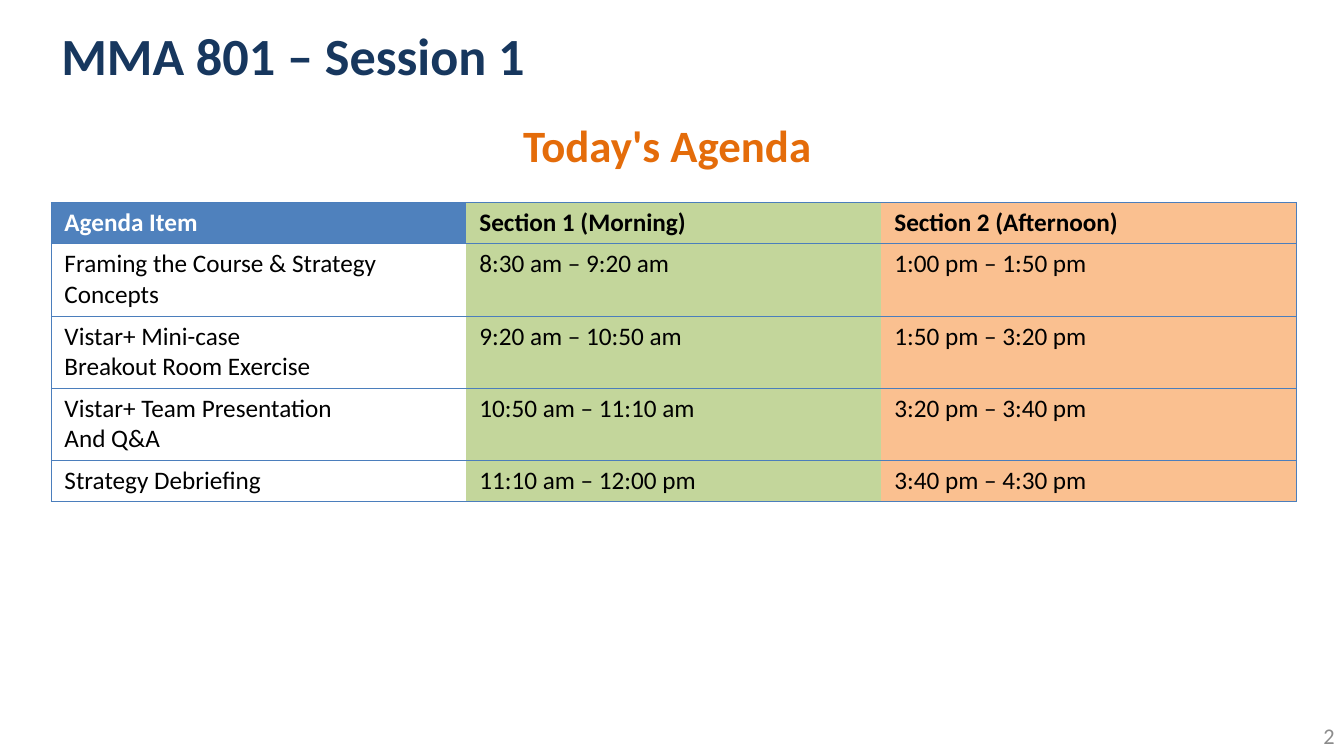
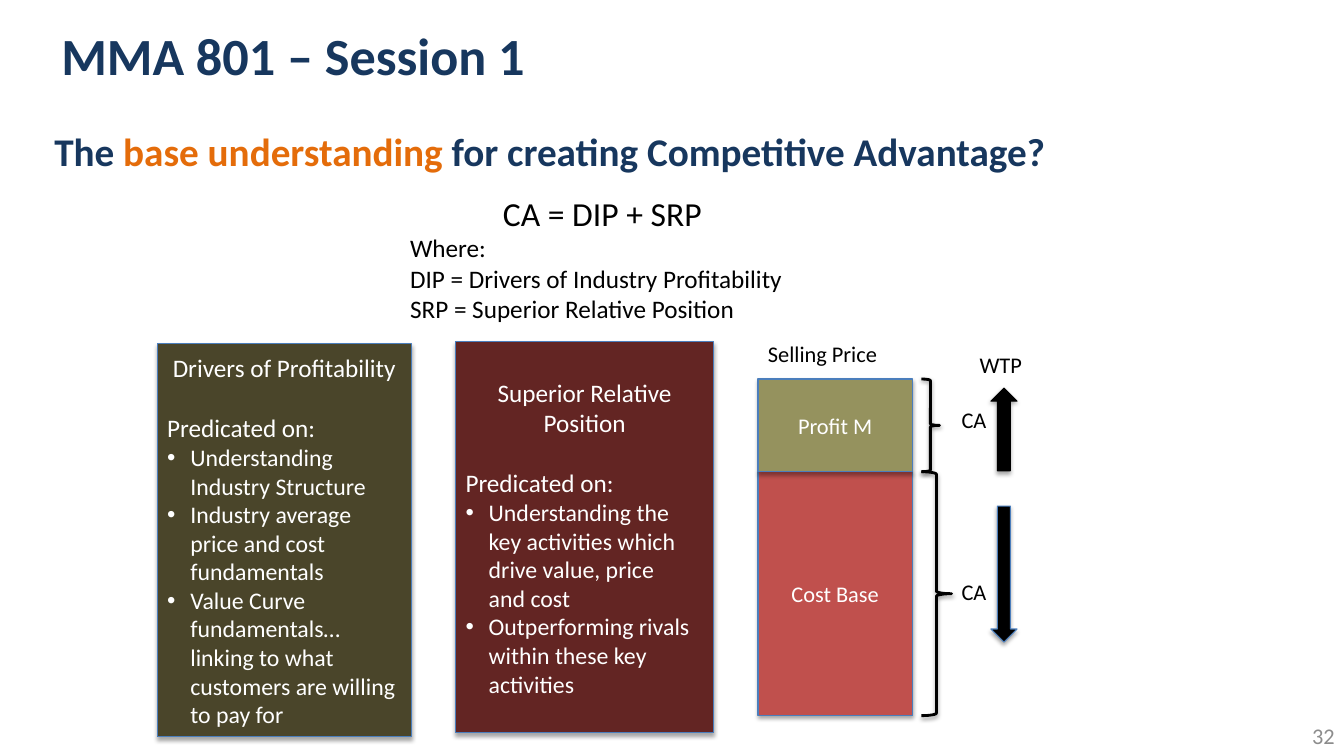
from dataclasses import dataclass
from typing import Optional

from lxml.etree import SubElement
from pptx import Presentation
from pptx.dml.color import RGBColor
from pptx.enum.shapes import MSO_SHAPE
from pptx.enum.text import MSO_ANCHOR, PP_ALIGN
from pptx.oxml.ns import qn
from pptx.util import Inches, Pt

# The grid has square cells of a tenth of an inch.
COLUMNS, ROWS = 133.33, 75
FONT = "Calibri"
NAVY, ORANGE, GREY = "17375E", "E46C0A", "8C8C8C"
BLACK, WHITE, BLUE, EDGE = "000000", "FFFFFF", "4F81BD", "4B7EBC"
GREEN, PEACH = "C3D69B", "FAC090"
OLIVE, MAROON, RED, KHAKI = "4A452A", "632523", "C0504D", "95925E"
LEFT, CENTER, RIGHT = PP_ALIGN.LEFT, PP_ALIGN.CENTER, PP_ALIGN.RIGHT

AGENDA = [
    ("Agenda Item", "Section 1 (Morning)", "Section 2 (Afternoon)"),
    ("Framing the Course & Strategy Concepts",
     "8:30 am – 9:20 am", "1:00 pm – 1:50 pm"),
    ("Vistar+ Mini-case\nBreakout Room Exercise",
     "9:20 am – 10:50 am", "1:50 pm – 3:20 pm"),
    ("Vistar+ Team Presentation\nAnd Q&A",
     "10:50 am – 11:10 am", "3:20 pm – 3:40 pm"),
    ("Strategy Debriefing", "11:10 am – 12:00 pm", "3:40 pm – 4:30 pm"),
]
AGENDA_ROWS = (4.1, 7.15, 7.15, 7.15, 4.1)


@dataclass
class Line:
    """One paragraph: its text, or (text, colour) spans, and its style."""
    text: object
    size: float = 18
    color: str = BLACK
    bold: bool = False
    align: PP_ALIGN = LEFT
    bullet: bool = False
    gap: Optional[float] = None


def rgb(code):
    """Turn a hex string into a colour."""
    return RGBColor.from_string(code)


def cells(*counts):
    """Turn counts of grid cells into lengths."""
    return [Inches(count / 10) for count in counts]


def style_span(span, line, color):
    """Apply the font of a line to one run."""
    span.font.name, span.font.size, span.font.bold = FONT, Pt(line.size), line.bold
    span.font.color.rgb = rgb(color)


def add_bullet(para):
    """Give a paragraph a hanging bullet."""
    properties = para._p.get_or_add_pPr()
    indent = Inches(0.23)
    properties.set("marL", str(indent))
    properties.set("indent", str(-indent))
    SubElement(properties, qn("a:buFont")).set("typeface", "Arial")
    SubElement(properties, qn("a:buChar")).set("char", "•")


def write(frame, lines, anchor):
    """Fill a text frame with lines."""
    frame.word_wrap, frame.vertical_anchor = True, anchor
    for index, line in enumerate(lines):
        para = frame.add_paragraph() if index else frame.paragraphs[0]
        para.alignment = line.align
        if line.gap:
            para.space_after = Pt(line.gap)
        if line.bullet:
            add_bullet(para)
        if isinstance(line.text, str):
            para.text = line.text
            for span in para.runs:
                style_span(span, line, line.color)
        else:
            for text, color in line.text:
                span = para.add_run()
                span.text = text
                style_span(span, line, color)


def add_text(page, area, *lines, anchor=MSO_ANCHOR.TOP):
    """Add a text box."""
    box = page.shapes.add_textbox(*cells(*area))
    write(box.text_frame, lines, anchor)


def add_shadow(shape, opacity, distance):
    """Cast a soft shadow straight down."""
    shape.shadow.inherit = False
    effects = shape._element.spPr.find(qn("a:effectLst"))
    shadow = SubElement(effects, qn("a:outerShdw"), blurRad=str(Pt(3.1)),
                        dist=str(Pt(distance)), dir="5400000", rotWithShape="0")
    color = SubElement(shadow, qn("a:srgbClr"), val=BLACK)
    SubElement(color, qn("a:alpha"), val=str(opacity * 1000))


def add_block(page, area, fill, *lines, kind=MSO_SHAPE.RECTANGLE, edge=EDGE):
    """Add a filled shape with a shadow and optional text."""
    shape = page.shapes.add_shape(kind, *cells(*area))
    add_shadow(shape, 35, 1.8)
    shape.fill.solid()
    shape.fill.fore_color.rgb = rgb(fill)
    shape.line.color.rgb, shape.line.width = rgb(edge), Pt(0.75)
    if lines:
        write(shape.text_frame, lines, MSO_ANCHOR.MIDDLE)


def add_brace(page, area):
    """Add a black brace that opens to the left."""
    brace = page.shapes.add_shape(MSO_SHAPE.RIGHT_BRACE, *cells(*area))
    add_shadow(brace, 38, 1.6)
    brace.fill.background()
    brace.line.color.rgb, brace.line.width = rgb(BLACK), Pt(2)


def add_driver(page, area, fill, heading, *points, gap=21.6):
    """Add a panel with a heading and the points it rests on."""
    add_block(page, area, fill,
              Line(heading, color=WHITE, align=CENTER, gap=gap),
              Line("Predicated on:", color=WHITE),
              *[Line(point, 17, WHITE, bullet=True) for point in points])


def add_label(page, left, top, width, text):
    """Add a small black label."""
    add_text(page, (left, top, width, 3.7), Line(text, 16))


def set_borders(cell, visible):
    """Draw the named sides of a table cell and clear the others."""
    properties = cell._tc.get_or_add_tcPr()
    for side in "LRTB":
        border = SubElement(properties, qn(f"a:ln{side}"), w=str(Pt(0.75)))
        if side in visible:
            paint = SubElement(border, qn("a:solidFill"))
            SubElement(paint, qn("a:srgbClr"), val=EDGE)
        else:
            SubElement(border, qn("a:noFill"))


def add_agenda(page, area):
    """Add the timetable with one coloured column for each section."""
    count = len(AGENDA[0])
    table = page.shapes.add_table(len(AGENDA), count, *cells(*area)).table
    table.horz_banding = False
    for column in table.columns:
        column.width = Inches(area[2] / 10 / count)
    for row, height in zip(table.rows, AGENDA_ROWS):
        row.height = Inches(height / 10)
    for row, texts in enumerate(AGENDA):
        for column, text in enumerate(texts):
            cell = table.cell(row, column)
            cell.margin_left = cell.margin_right = Inches(0.13)
            set_borders(cell, "TB" + {0: "L", count - 1: "R"}.get(column, ""))
            header = row == 0
            fill = (BLUE if header else None, GREEN, PEACH)[column]
            if fill:
                cell.fill.solid()
                cell.fill.fore_color.rgb = rgb(fill)
            else:
                cell.fill.background()
            color = WHITE if header and column == 0 else BLACK
            write(cell.text_frame,
                  [Line(part, color=color, bold=header) for part in text.split("\n")],
                  MSO_ANCHOR.TOP)


def add_page(deck, number):
    """Add a blank page with the shared title and page number."""
    page = deck.slides.add_slide(deck.slide_layouts[6])
    add_text(page, (117.1, 71, 16.3, 4), Line(number, 16, GREY, align=RIGHT),
             anchor=MSO_ANCHOR.MIDDLE)
    add_text(page, (5.1, 0.7, 109.4, 9.4),
             Line("MMA 801 – Session 1", 37.3, NAVY, True), anchor=MSO_ANCHOR.MIDDLE)
    return page


def build_agenda(deck):
    """Build the agenda page."""
    page = add_page(deck, "2")
    add_agenda(page, (5.1, 20.1, 123.5, sum(AGENDA_ROWS)))
    add_text(page, (50.9, 11.2, 44.9, 6.4), Line("Today's Agenda", 32, ORANGE, True))


def build_price_stack(page):
    """Build the price stack with its braces, arrows and labels."""
    left, top, width = 75.2, 37.6, 15.3
    profit, cost = 9.2, 24.2
    middle = top + profit
    add_block(page, (left, middle, width, cost), RED,
              Line("Cost Base", 16, WHITE, align=CENTER))
    add_block(page, (left, top, width, profit), KHAKI,
              Line("Profit M", 16, WHITE, align=CENTER))
    add_brace(page, (91.4, top, 1.8, profit))
    add_brace(page, (91.4, middle, 3, cost))
    add_block(page, (98.3, 38.5, 2.6, 8.2), BLACK, kind=MSO_SHAPE.UP_ARROW, edge=BLACK)
    add_block(page, (98.3, 50.2, 2.6, 13.5), BLACK, kind=MSO_SHAPE.DOWN_ARROW)
    add_label(page, left, 33.3, 13.6, "Selling Price")
    add_label(page, 96.2, 34.3, 7.2, "WTP")
    for label_top in (39.8, 56.9):
        add_label(page, 94.4, label_top, 5.2, "CA")


def build_advantage(deck):
    """Build the competitive advantage page."""
    page = add_page(deck, "32")
    question = (("The ", NAVY), ("base understanding ", ORANGE),
                ("for creating Competitive Advantage?", NAVY))
    add_text(page, (4.4, 11.4, 111.4, 7.1), Line(question, 28, bold=True),
             anchor=MSO_ANCHOR.MIDDLE)
    add_text(page, (39.7, 18.6, 40.1, 14.1),
             Line("CA = DIP + SRP", 24, align=CENTER), Line("Where:"),
             Line("DIP = Drivers of Industry Profitability"),
             Line("SRP = Superior Relative Position"))
    add_driver(page, (15.6, 34.1, 25.2, 39), OLIVE, "Drivers of Profitability",
               "Understanding Industry Structure",
               "Industry average price and cost fundamentals",
               "Value Curve fundamentals…linking to what customers are willing to pay for")
    add_driver(page, (45.2, 33.9, 25.6, 38.8), MAROON, "Superior Relative Position",
               "Understanding the key activities which drive value, price \vand cost",
               "Outperforming rivals within these key activities")
    build_price_stack(page)


def main():
    """Build and save the deck."""
    deck = Presentation()
    deck.slide_width, deck.slide_height = cells(COLUMNS, ROWS)
    build_agenda(deck)
    build_advantage(deck)
    deck.save("out.pptx")


main()
